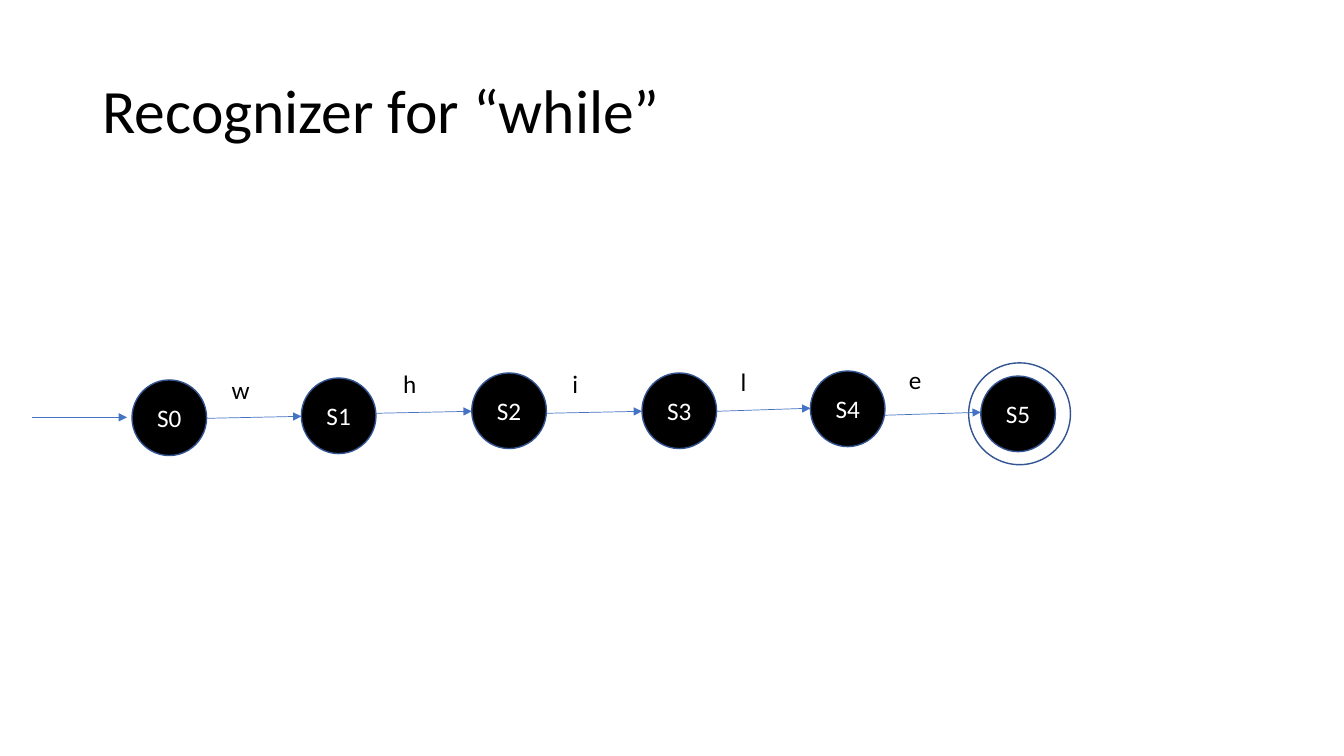
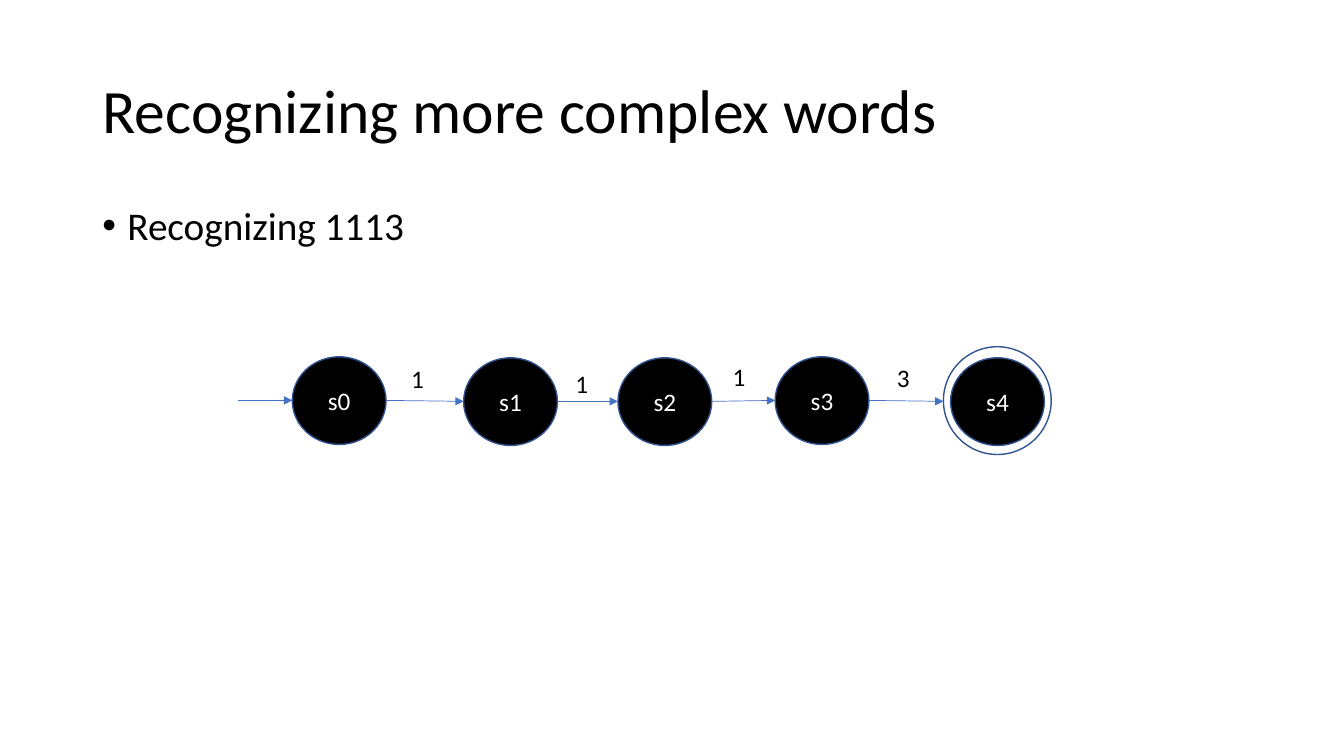
from lxml import etree
from pptx import Presentation
from pptx.dml.color import RGBColor
from pptx.enum.shapes import MSO_CONNECTOR, MSO_SHAPE
from pptx.enum.text import MSO_ANCHOR, MSO_AUTO_SIZE, PP_ALIGN
from pptx.oxml.ns import qn
from pptx.util import Pt

BLACK = RGBColor(0x00, 0x00, 0x00)
WHITE = RGBColor(0xFF, 0xFF, 0xFF)
OUTLINE = RGBColor(0x32, 0x54, 0x91)
ARROW = RGBColor(0x44, 0x72, 0xC4)
FONT = "Calibri"

MACHINES = [
    {
        "title": "Recognizer for “while”",
        "bullet": None,
        "state_size": (53.3, 54),
        "states": [("S0", 94.3, 271.4), ("S1", 215.3, 270), ("S2", 337, 266.4),
                   ("S3", 458.6, 266.4), ("S4", 578.9, 265), ("S5", 700.6, 268.6)],
        "ring": (691.9, 259.2, 72.7),
        "start": (23, 90.7, 298.1),
        "arrow_heights": [(298.8, 297.4), (295.2, 293.8), (295.2, 293.8),
                          (293.8, 291.6), (296.6, 294.5)],
        "last_arrow_end": 700.6,
        "label_width": 32.4,
        "labels": [("w", 158.4, 263.5), ("h", 280.8, 259.9), ("i", 401.8, 259.9),
                   ("l", 522, 257.8), ("e", 642.2, 257)],
    },
    {
        "title": "Recognizing more complex words",
        "bullet": "Recognizing 1113",
        "state_size": (67, 62.6),
        "states": [("s0", 208.8, 254.9), ("s1", 331.2, 255.6), ("s2", 441.4, 255.6),
                   ("s3", 553.7, 254.9), ("s4", 679, 255.6)],
        "ring": (673.9, 247.7, 77),
        "start": (169.9, 208.8, 286),
        "arrow_heights": [(286, 286.7), (286.7, 286.7), (286.7, 286), (286, 286.7)],
        "last_arrow_end": 673.9,
        "label_width": 41.8,
        "labels": [("1", 286.6, 256.3), ("1", 403.9, 259.2),
                   ("1", 516.2, 254.9), ("3", 633.6, 255.6)],
    },
]


def write_text(shape, text, size=18, color=BLACK, align=PP_ALIGN.LEFT,
               anchor=MSO_ANCHOR.TOP, spacing=1.0, bullet=False):
    frame = shape.text_frame
    frame.word_wrap = True
    frame.auto_size = MSO_AUTO_SIZE.NONE
    frame.vertical_anchor = anchor
    para = frame.paragraphs[0]
    para.alignment = align
    para.line_spacing = spacing
    if bullet:
        props = para._p.get_or_add_pPr()
        props.set("marL", str(Pt(18)))
        props.set("indent", str(-Pt(18)))
        etree.SubElement(props, qn("a:buFont"), typeface="Arial")
        etree.SubElement(props, qn("a:buChar"), char="•")
    span = para.add_run()
    span.text = text
    span.font.name = FONT
    span.font.size = Pt(size)
    span.font.color.rgb = color


def add_arrow(page, x1, y1, x2, y2):
    arrow = page.shapes.add_connector(
        MSO_CONNECTOR.STRAIGHT, Pt(x1), Pt(y1), Pt(x2), Pt(y2))
    arrow.line.color.rgb = ARROW
    arrow.line.width = Pt(0.5)
    etree.SubElement(arrow.line._get_or_add_ln(), qn("a:tailEnd"), type="triangle")
    etree.SubElement(arrow._element.spPr, qn("a:effectLst"))


deck = Presentation()
deck.slide_width, deck.slide_height = Pt(960), Pt(540)

for machine in MACHINES:
    page = deck.slides.add_slide(deck.slide_layouts[5])
    title = page.shapes.title
    title.left, title.top, title.width, title.height = Pt(66), Pt(28.8), Pt(828), Pt(104.4)
    write_text(title, machine["title"], size=44, anchor=MSO_ANCHOR.MIDDLE, spacing=0.9)

    if machine["bullet"]:
        body = page.shapes.add_textbox(Pt(66), Pt(144), Pt(828), Pt(342.7))
        write_text(body, machine["bullet"], size=28, spacing=0.9, bullet=True)

    width, height = machine["state_size"]
    states = machine["states"]
    ring_left, ring_top, ring_size = machine["ring"]
    circles = [("", ring_left, ring_top, ring_size, ring_size)]
    circles += [(name, left, top, width, height) for name, left, top in states]
    for name, left, top, wide, high in circles:
        circle = page.shapes.add_shape(
            MSO_SHAPE.OVAL, Pt(left), Pt(top), Pt(wide), Pt(high))
        circle.shadow.inherit = False
        circle.line.color.rgb = OUTLINE
        circle.line.width = Pt(1)
        if name:
            circle.fill.solid()
            circle.fill.fore_color.rgb = BLACK
            write_text(circle, name, color=WHITE, align=PP_ALIGN.CENTER,
                       anchor=MSO_ANCHOR.MIDDLE)
        else:
            circle.fill.background()

    start_left, start_right, start_height = machine["start"]
    add_arrow(page, start_left, start_height, start_right, start_height)
    ends = [left for name, left, top in states[1:-1]] + [machine["last_arrow_end"]]
    for (name, left, top), end, (y1, y2) in zip(states, ends, machine["arrow_heights"]):
        add_arrow(page, left + width, y1, end, y2)

    for symbol, left, top in machine["labels"]:
        label = page.shapes.add_textbox(
            Pt(left), Pt(top), Pt(machine["label_width"]), Pt(28.8))
        write_text(label, symbol)

deck.save("out.pptx")
